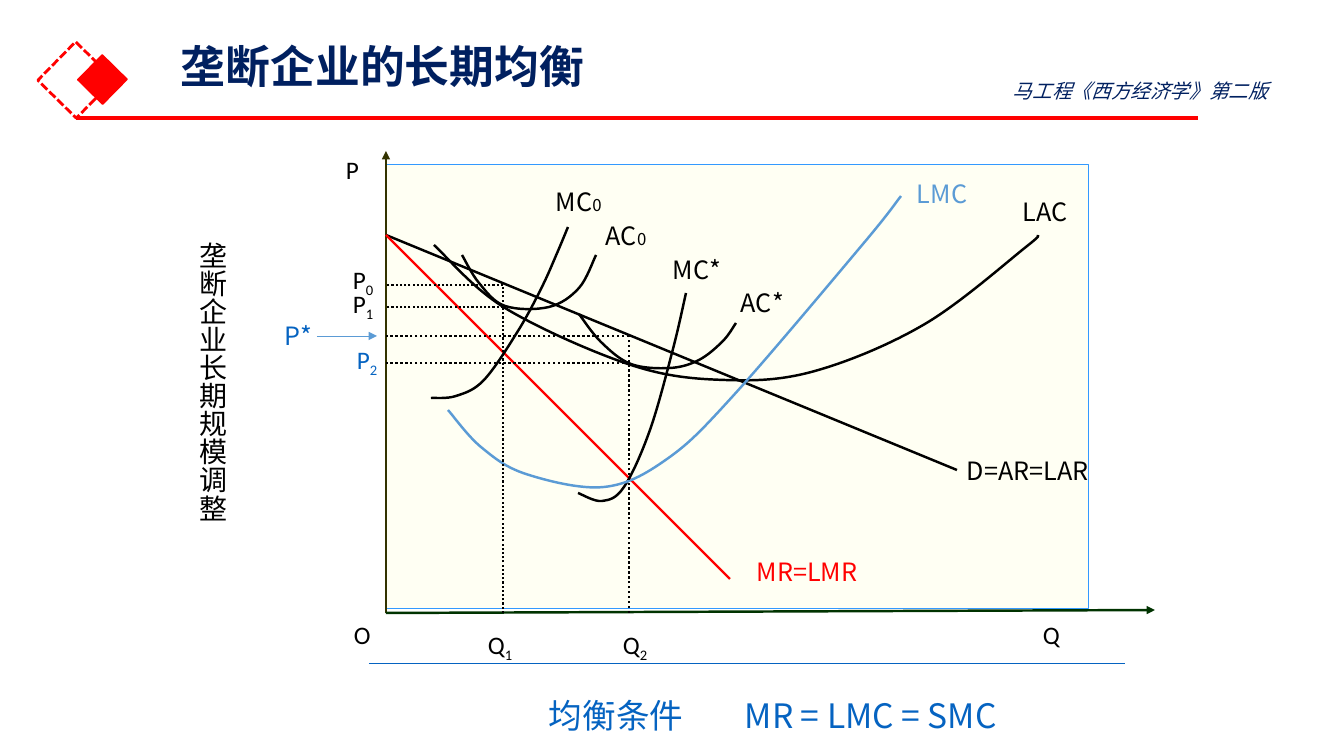
from lxml import etree
from pptx import Presentation
from pptx import util as u
from pptx.dml.color import RGBColor
from pptx.enum import dml, shapes, text
from pptx.oxml import ns

PX_PER_INCH = 100.8
BLACK, RED, NAVY = "000000", "FF0000", "002060"
BLUE, SKY = "0563C1", "5B9BD5"
LATIN, CHINESE, CAPTION = "Calibri", "Noto Sans CJK SC", "Noto Sans CJK JP"
DOTS, DASHES = dml.MSO_LINE.ROUND_DOT, dml.MSO_LINE.SQUARE_DOT


def px(length):
    return u.Inches(length / PX_PER_INCH)


def color(value):
    return RGBColor.from_string(value)


def add_xml(parent, tag, **attributes):
    return etree.SubElement(parent, ns.qn(tag), attributes)


def smooth(path):
    """Turn the straight segments of a path into Catmull-Rom curves."""
    knots = [(int(point.get("x")), int(point.get("y")))
             for point in path.iter(ns.qn("a:pt"))]
    for segment in path.findall(ns.qn("a:lnTo")):
        path.remove(segment)
    padded = [knots[0], *knots, knots[-1]]
    for a, b, c, d in zip(padded, padded[1:], padded[2:], padded[3:]):
        bezier = add_xml(path, "a:cubicBezTo")
        leaving = [q + (r - p) / 6 for p, q, r in zip(a, b, c)]
        arriving = [q - (r - p) / 6 for p, q, r in zip(b, c, d)]
        for x, y in (leaving, arriving, c):
            add_xml(bezier, "a:pt", x=str(round(x)), y=str(round(y)))


class Board:
    """Current slide and its drawing style."""

    stroke = 1.75
    label_size = 18

    def __init__(self, slide):
        self.slide = slide

    def outline(self, line, line_color, width, dash=None):
        line.color.rgb = color(line_color)
        line.width = u.Pt(width)
        if dash:
            line.dash_style = dash

    def rectangle(self, box, fill, line_color, width, dash=None, rotation=0):
        shape = self.slide.shapes.add_shape(
            shapes.MSO_SHAPE.RECTANGLE, *map(px, box))
        shape.shadow.inherit = False
        shape.rotation = rotation
        if fill:
            shape.fill.solid()
            shape.fill.fore_color.rgb = color(fill)
        else:
            shape.fill.background()
        self.outline(shape.line, line_color, width, dash)

    def line(self, start, end, line_color=BLACK, width=stroke, dash=None,
             arrow=False):
        connector = self.slide.shapes.add_connector(
            shapes.MSO_CONNECTOR.STRAIGHT, *map(px, (*start, *end)))
        self.outline(connector.line, line_color, width, dash)
        if arrow:
            add_xml(connector.line._get_or_add_ln(), "a:tailEnd",
                    type="triangle")
        add_xml(connector._element.spPr, "a:effectLst")

    def curve(self, knots, line_color=BLACK):
        points = [(px(x), px(y)) for x, y in knots]
        builder = self.slide.shapes.build_freeform(*points[0])
        builder.add_line_segments(points[1:], close=False)
        shape = builder.convert_to_shape()
        for path in shape._element.spPr.iter(ns.qn("a:path")):
            smooth(path)
        shape.shadow.inherit = False
        shape.fill.background()
        self.outline(shape.line, line_color, self.stroke)

    def style(self, run, font, size, font_color, bold=False, italic=False):
        run.font.name = font
        run.font.size = u.Pt(size)
        run.font.color.rgb = color(font_color)
        run.font.bold = bold
        run.font.italic = italic
        add_xml(run._r.get_or_add_rPr(), "a:ea", typeface=font)

    def text(self, box, words, font=CHINESE, size=label_size,
             font_color=BLACK, wrap=True, anchor=text.MSO_ANCHOR.TOP,
             spacing=None, **emphasis):
        frame = self.slide.shapes.add_textbox(*map(px, box)).text_frame
        frame.word_wrap = wrap
        frame.vertical_anchor = anchor
        frame.text = words
        paragraph = frame.paragraphs[0]
        if spacing:
            paragraph.line_spacing = spacing
        self.style(paragraph.runs[0], font, size, font_color, **emphasis)
        return frame

    def label(self, box, words, font=CHINESE, font_color=BLACK, index="",
              spacing=None):
        frame = self.text(box, words, font, font_color=font_color, wrap=False,
                          anchor=text.MSO_ANCHOR.MIDDLE, spacing=spacing)
        if index:
            run = frame.paragraphs[0].add_run()
            run.text = index
            lowered = font == LATIN
            self.style(run, font, self.label_size if lowered else 12,
                       font_color)
            if lowered:
                run._r.get_or_add_rPr().set("baseline", "-25000")


def main():
    presentation = Presentation()
    presentation.slide_width = px(1344)
    presentation.slide_height = px(756)
    slide = presentation.slides.add_slide(presentation.slide_layouts[6])
    board = Board(slide)

    # Plot area and header
    board.rectangle((386, 164, 703, 445), "FFFFF3", "3399FF", 0.75)
    board.rectangle((49, 53, 54, 54), None, RED, 2, DASHES, 314.5)
    board.rectangle((85, 62, 35, 35), RED, RED, 1, rotation=314.5)
    board.line((76, 118), (1198, 118), RED, 2.25)
    title = board.text((171, 45, 1159, 90), "垄断企业的长期均衡", size=32,
                       font_color=NAVY, spacing=0.9, bold=True)
    title.margin_top = 0
    board.text((1003, 74, 326, 34), "马工程《西方经济学》第二版", size=14,
               font_color=NAVY, italic=True)

    # Axes
    axis_x, axis_y = 386, 613
    origin = (axis_x, axis_y)
    board.line(origin, (axis_x, 151), "333300", arrow=True)
    board.line(origin, (1155, 610), "003300", arrow=True)

    # Demand and marginal revenue
    intercept = (axis_x, 235)
    board.line(intercept, (957, 470))
    board.line(intercept, (730, 579), RED)

    # Cost curves
    cost_curves = {
        "AC0": [(462, 255), (479, 283), (505, 306), (549, 307), (579, 288),
                (596, 255)],
        "MC0": [(431, 398), (456, 396), (484, 380), (518, 331), (542, 287),
                (558, 251), (568, 227)],
        "AC*": [(579, 314), (601, 342), (631, 364), (670, 368), (699, 360),
                (723, 341), (736, 323)],
        "MC*": [(578, 493), (602, 501), (624, 487), (650, 430), (673, 349),
                (686, 293)],
        "LAC": [(434, 245), (505, 308), (631, 365), (725, 380), (815, 371),
                (925, 324), (1026, 247), (1038, 235)],
        "LMC": [(448, 410), (481, 447), (526, 474), (604, 487), (667, 459),
                (733, 396), (863, 244), (901, 196)],
    }
    for name, knots in cost_curves.items():
        board.curve(knots, SKY if name == "LMC" else BLACK)

    # Dotted guides: quantity, prices, width of the upper guide
    for quantity, prices, width in ((503, (285, 307), 1.5),
                                    (629, (336, 363), 1.75)):
        board.line((quantity, axis_y), (quantity, prices[0]), BLACK, width,
                   DOTS)
        for price in prices:
            board.line((quantity, price), (axis_x, price), BLACK, width, DOTS)

    # Axis labels
    board.label((336, 151, 33, 42), "P", LATIN, spacing=0.8)
    for box, letter, index, tint in (
            ((1033, 613, 33, 42), "Q", "", BLACK),
            ((344, 613, 33, 42), "O", "", BLACK),
            ((478, 630, 50, 33), "Q", "1", BLACK),
            ((613, 630, 50, 33), "Q", "2", BLACK),
            ((343, 262, 50, 39), "P", "0", BLACK),
            ((343, 289, 50, 33), "P", "1", BLACK),
            ((347, 345, 50, 33), "P", "2", BLUE)):
        board.label(box, letter, LATIN, tint, index)

    # Curve labels
    for box, name, index, tint in (
            ((596, 210, 76, 50), "AC", "0", BLACK),
            ((546, 176, 76, 50), "MC", "0", BLACK),
            ((731, 277, 68, 50), "AC*", "", BLACK),
            ((663, 244, 76, 50), "MC*", "", BLACK),
            ((1013, 186, 76, 50), "LAC", "", BLACK),
            ((907, 168, 76, 50), "LMC", "", SKY),
            ((957, 454, 150, 33), "D=AR=LAR", "", BLACK),
            ((747, 554, 130, 35), "MR=LMR", "", RED),
            ((275, 319, 60, 33), "P*", "", BLUE)):
        board.label(box, name, font_color=tint, index=index)
    board.line((317, 336), (377, 336), SKY, 0.5, arrow=True)

    # Equilibrium condition, with a tab stop before the formula
    board.line((369, 663), (1125, 663), BLUE, 0.5)
    condition = board.text((539, 690, 529, 50), "均衡条件\tMR = LMC = SMC",
                           CAPTION, 24, BLUE, anchor=text.MSO_ANCHOR.MIDDLE)
    properties = condition.paragraphs[0]._p.get_or_add_pPr()
    add_xml(add_xml(properties, "a:tabLst"), "a:tab", pos=str(px(196)),
            algn="l")

    # Vertical heading
    heading = board.text((180, 232, 54, 395), "垄断企业长期规模调整", size=20)
    heading._txBody.bodyPr.set("vert", "eaVert")

    presentation.save("out.pptx")


if __name__ == "__main__":
    main()
